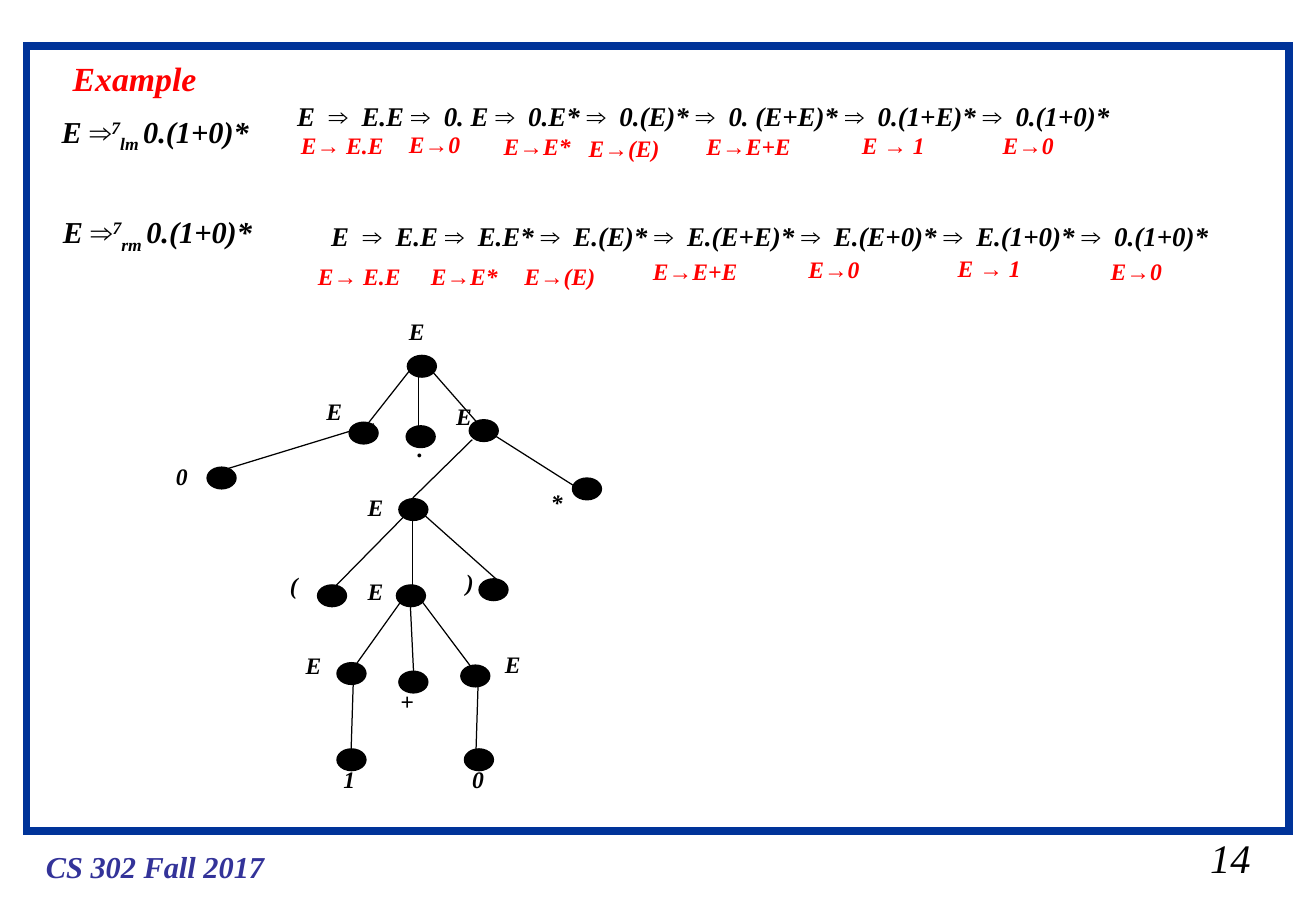
"""Build a slide with two derivations of a regular expression and its parse tree."""
from itertools import groupby

from lxml import etree
from pptx import Presentation
from pptx.dml.color import RGBColor
from pptx.enum import shapes, text
from pptx.oxml.ns import qn
from pptx.util import Inches, Pt

BLACK = RGBColor(0x00, 0x00, 0x00)
RED = RGBColor(0xFF, 0x00, 0x00)
FRAME_BLUE = RGBColor(0x00, 0x33, 0x99)
FOOTER_BLUE = RGBColor(0x33, 0x33, 0x99)
SERIF, SANS = "Times New Roman", "Arial"
ARROWS = "⇒→"

FRAME = (0.22, 0.38, 10.4, 6.46)
CAPTIONS = [
    ("Example", (0.5, 0.43, 1.22, 0.44), 20, RED, True),
    ("CS 302 Fall 2017", (0.28, 6.93, 2, 0.4), 18, FOOTER_BLUE, True),
    ("14", (9.87, 6.81, 0.53, 0.5), 24, BLACK, False),
]
DERIVATIONS = [
    {
        "order": "lm",
        "claim_box": (0.41, 0.88, 1.89, 0.44),
        "terms_box": (2.35, 0.77, 7.4, 0.37),
        "terms": ["E", "E.E", "0. E", "0.E*", "0.(E)*", "0. (E+E)*", "0.(1+E)*", "0.(1+0)*"],
        "rules": [("E→ E.E", 2.38, 1.03), ("E→0", 3.27, 1.02), ("E→E*", 4.05, 1.04),
                  ("E→(E)", 4.75, 1.05), ("E→E+E", 5.72, 1.04), ("E → 1", 7, 1.03),
                  ("E→0", 8.16, 1.03)],
    },
    {
        "order": "rm",
        "claim_box": (0.42, 1.71, 1.9, 0.44),
        "terms_box": (2.63, 1.76, 7.9, 0.37),
        "terms": ["E", "E.E", "E.E*", "E.(E)*", "E.(E+E)*", "E.(E+0)*", "E.(1+0)*", "0.(1+0)*"],
        "rules": [("E→ E.E", 2.52, 2.11), ("E→E*", 3.45, 2.11), ("E→(E)", 4.22, 2.11),
                  ("E→E+E", 5.28, 2.07), ("E→0", 6.56, 2.05), ("E → 1", 7.79, 2.04),
                  ("E→0", 9.05, 2.07)],
    },
]
RULE_WIDTHS = {"E→ E.E": 0.88, "E→0": 0.62, "E→E*": 0.75, "E→(E)": 0.79,
               "E→E+E": 1, "E → 1": 0.72}
LABEL_WIDTHS = {"E": 0.33, "0": 0.3, "1": 0.3, "*": 0.3, "+": 0.31,
                "(": 0.26, ")": 0.26, ".": 0.25}
LABEL_HEIGHT = 0.34
NODE_SIZE = (0.25, 0.19)

# label, label corner, node corner, branch from the parent (start, end)
TREE = [
    ("E", (3.27, 2.56), (3.35, 2.92), None),
    ("E", (2.59, 3.22), (2.87, 3.47), ((3.43, 2.98), (2.95, 3.59))),
    (".", (3.34, 3.52), (3.34, 3.5), ((3.45, 3.03), (3.45, 3.53))),
    ("E", (3.66, 3.26), (3.86, 3.45), ((3.51, 3), (4.01, 3.57))),
    ("0", (1.35, 3.75), (1.7, 3.84), ((3.08, 3.49), (1.87, 3.86))),
    ("E", (2.93, 4.01), (3.28, 4.1), ((3.89, 3.62), (3.4, 4.1))),
    ("*", (4.44, 3.97), (4.71, 3.93), ((3.94, 3.5), (4.76, 4.02))),
    ("(", (2.29, 4.65), (2.61, 4.81), ((3.36, 4.22), (2.72, 4.87))),
    ("E", (2.93, 4.7), (3.26, 4.81), ((3.4, 4.18), (3.4, 4.9))),
    (")", (3.74, 4.63), (3.94, 4.76), ((3.45, 4.2), (4.09, 4.77))),
    ("E", (2.42, 5.31), (2.77, 5.45), ((3.34, 4.9), (2.89, 5.53))),
    ("+", (3.2, 5.61), (3.28, 5.52), ((3.38, 4.98), (3.41, 5.6))),
    ("E", (4.06, 5.3), (3.79, 5.47), ((3.46, 4.93), (3.94, 5.57))),
    ("1", (2.73, 6.25), (2.77, 6.16), ((2.91, 5.62), (2.89, 6.25))),
    ("0", (3.79, 6.25), (3.82, 6.16), ((3.94, 5.58), (3.92, 6.22))),
]


def inches(values):
    return [Inches(value) for value in values]


def split_arrows(words):
    return [("".join(part), {}) for _, part in groupby(words, lambda letter: letter in ARROWS)]


def add_text(slide, box, runs, size, color=BLACK, bold=True, wrap=False):
    frame = slide.shapes.add_textbox(*inches(box)).text_frame
    frame.word_wrap = wrap
    frame.auto_size = text.MSO_AUTO_SIZE.SHAPE_TO_FIT_TEXT
    paragraph = frame.paragraphs[0]
    for words, attributes in runs:
        run = paragraph.add_run()
        run.text = words
        font = run.font
        font.name = SANS if words in ARROWS else SERIF
        font.size, font.bold, font.italic = Pt(size), bold, True
        font.color.rgb = color
        for name, value in attributes.items():
            run._r.get_or_add_rPr().set(name, value)


def add_derivation(slide, derivation):
    claim = [("E ", {}), ("⇒", {}), ("7", {"baseline": "30000"}),
             (derivation["order"] + " ", {"baseline": "-25000"}), ("0.(1+0)*", {})]
    add_text(slide, derivation["claim_box"], claim, 18)

    wide_gap = (" ", {"spc": "400"})
    first, *others = derivation["terms"]
    runs = [(first, {}), wide_gap]
    for term in others:
        ending = "" if term == others[-1] else " "
        runs += [("⇒", {}), wide_gap, (term + ending, {})]
    add_text(slide, derivation["terms_box"], runs, 16, wrap=True)

    for rule, left, top in derivation["rules"]:
        box = (left, top, RULE_WIDTHS[rule], LABEL_HEIGHT)
        add_text(slide, box, split_arrows(rule), 14, RED, wrap=rule == "E→E+E")


def add_node(slide, label, label_corner, node_corner, branch):
    if branch:
        start, end = branch
        line = slide.shapes.add_connector(shapes.MSO_CONNECTOR.STRAIGHT, *inches(start + end))
        line.line.color.rgb = BLACK
        line.line.width = Pt(0.75)
        etree.SubElement(line._element.spPr, qn("a:effectLst"))
    node = slide.shapes.add_shape(shapes.MSO_SHAPE.OVAL, *inches(node_corner + NODE_SIZE))
    node.shadow.inherit = False
    node.fill.solid()
    node.fill.fore_color.rgb = BLACK
    node.line.fill.background()
    box = label_corner + (LABEL_WIDTHS[label], LABEL_HEIGHT)
    add_text(slide, box, [(label, {})], 14)


def main():
    presentation = Presentation()
    presentation.slide_width, presentation.slide_height = inches((10.84, 7.5))
    slide = presentation.slides.add_slide(presentation.slide_layouts[6])

    border = slide.shapes.add_shape(shapes.MSO_SHAPE.RECTANGLE, *inches(FRAME))
    border.shadow.inherit = False
    border.fill.background()
    border.line.color.rgb = FRAME_BLUE
    border.line.width = Pt(4.5)
    etree.SubElement(border.line._get_or_add_ln(), qn("a:miter"), lim="800000")

    for words, box, size, color, bold in CAPTIONS:
        add_text(slide, box, [(words, {})], size, color, bold)
    for derivation in DERIVATIONS:
        add_derivation(slide, derivation)
    for node in TREE:
        add_node(slide, *node)
    presentation.save("out.pptx")


if __name__ == "__main__":
    main()
